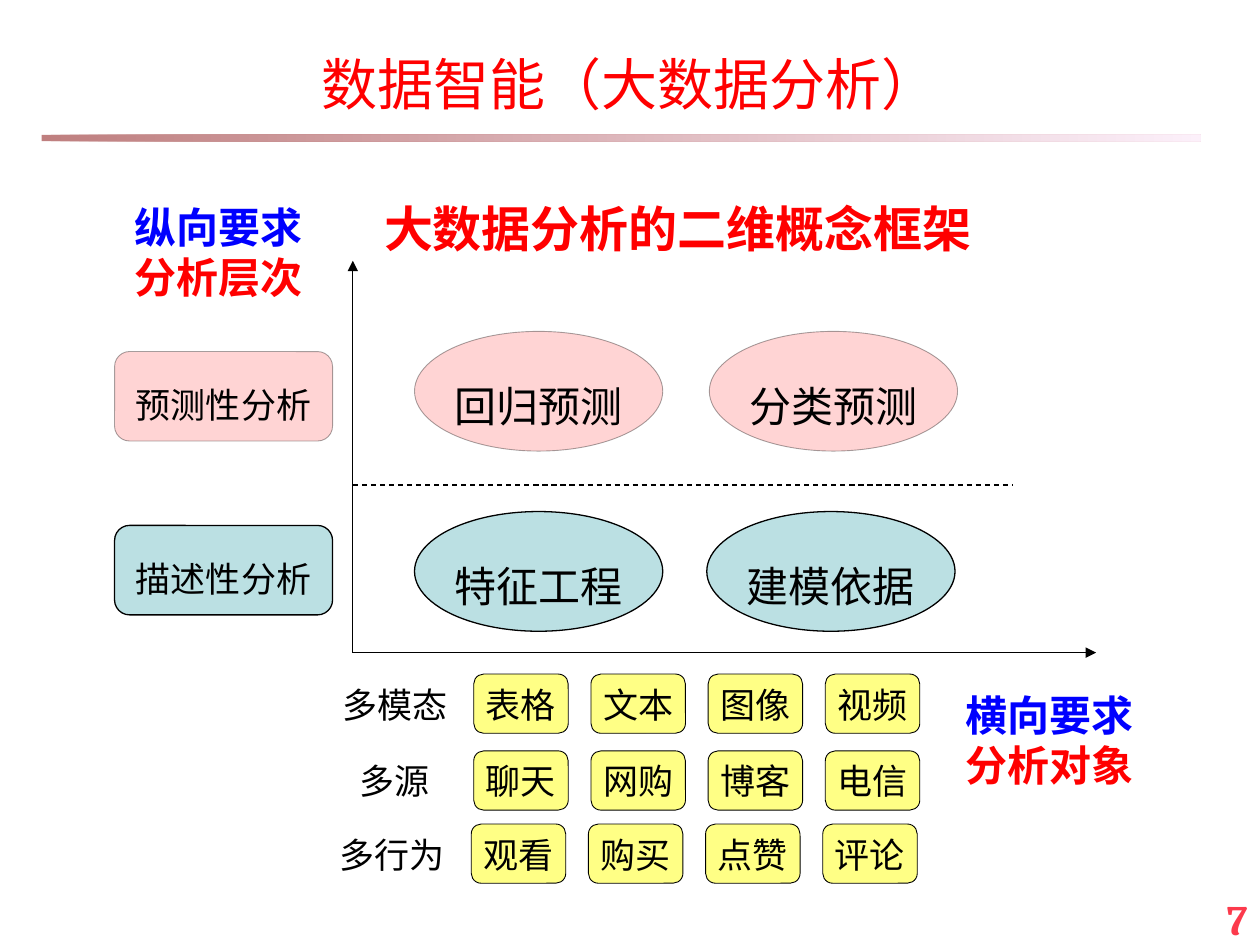
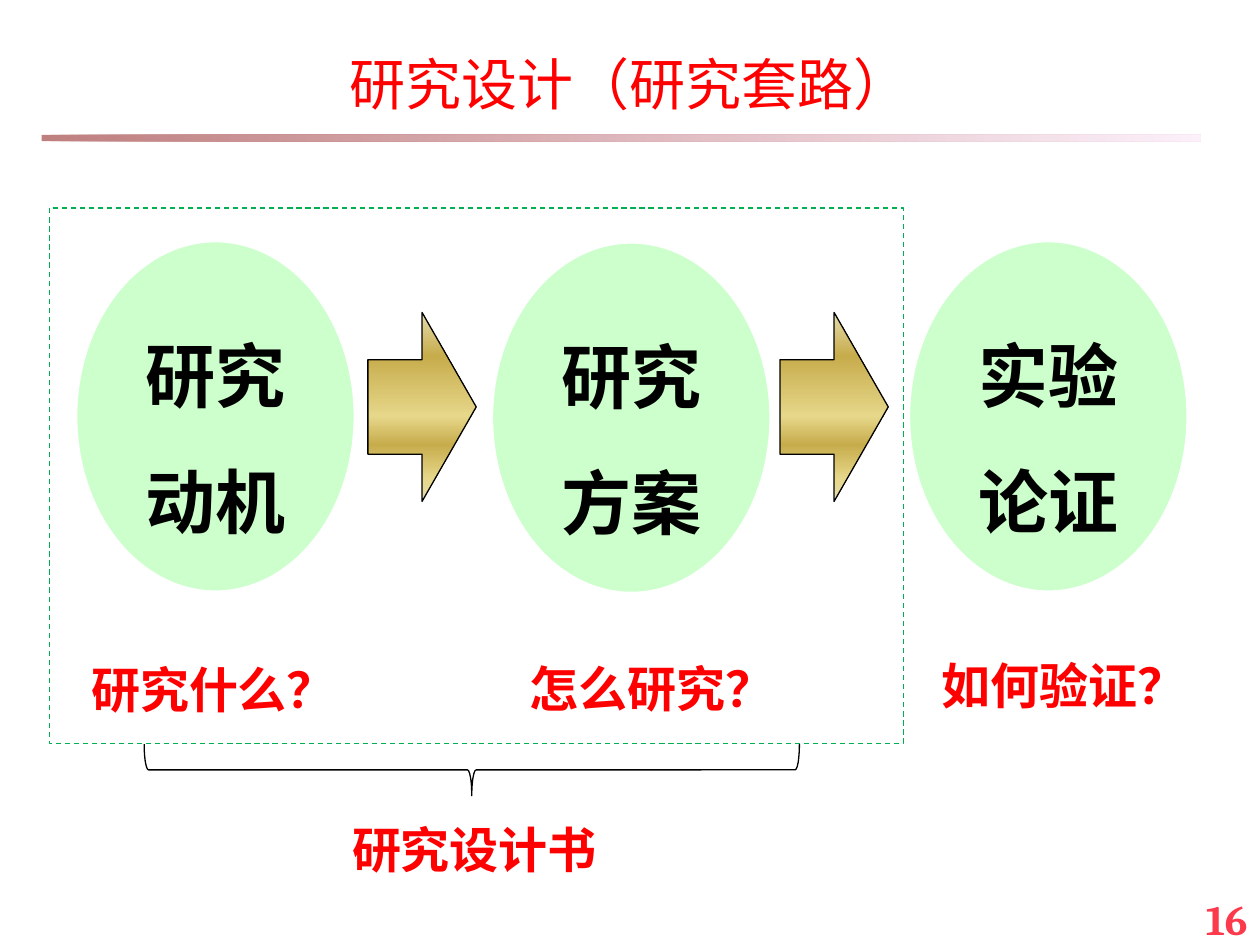
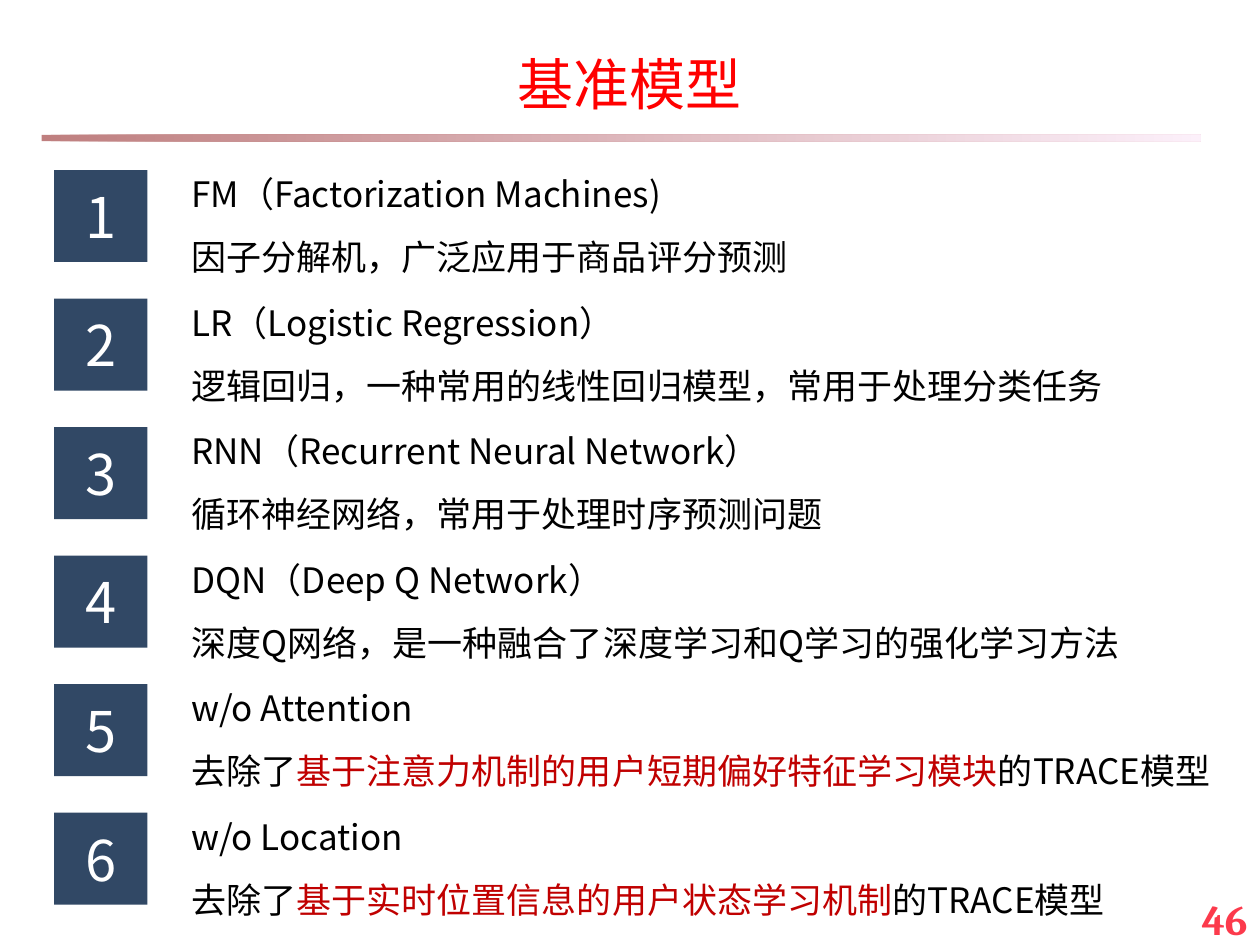
"""Build three slides on data intelligence, research design and baseline models."""
from dataclasses import dataclass, replace
from typing import NamedTuple, Optional, Sequence

from lxml import etree
from pptx import Presentation
from pptx.dml.color import RGBColor
from pptx.enum.dml import MSO_LINE
from pptx.enum.shapes import MSO_CONNECTOR, MSO_SHAPE
from pptx.enum.text import MSO_ANCHOR, PP_ALIGN
from pptx.oxml.ns import qn
from pptx.util import Inches, Pt

ROUNDED, OVAL, RECTANGLE = MSO_SHAPE.ROUNDED_RECTANGLE, MSO_SHAPE.OVAL, MSO_SHAPE.RECTANGLE
ARROW, BRACE = MSO_SHAPE.RIGHT_ARROW, MSO_SHAPE.LEFT_BRACE
STRAIGHT, DASH = MSO_CONNECTOR.STRAIGHT, MSO_LINE.DASH
LEFT, CENTER, RIGHT = PP_ALIGN.LEFT, PP_ALIGN.CENTER, PP_ALIGN.RIGHT
TOP, MIDDLE = MSO_ANCHOR.TOP, MSO_ANCHOR.MIDDLE
BLANK_LAYOUT = 6
CJK_FONT = "Noto Sans CJK SC"

COLORS = {
    "black": "000000", "white": "FFFFFF", "red": "FF0000", "blue": "0000FF",
    "teal": "BBE0E3", "yellow": "FFFF00", "mint": "CCFFCC", "green": "00B050",
    "navy": "314865", "dark red": "C00000", "page number": "FC3A4C",
    "maroon": "800000", "pale pink": "FAE2F6",
    "gold edge": "E6DCAC", "gold light": "E6D78A", "gold dark": "C7AC4C",
}


class Frame(NamedTuple):
    left: float
    top: float
    width: float
    height: float


class Span(NamedTuple):
    text: str
    color: str


class Stop(NamedTuple):
    position: int
    color: str
    alpha: int = 100


class Stage(NamedTuple):
    left: float
    top: float
    words: tuple[str, str]
    question: str
    question_left: float
    question_top: float


class Model(NamedTuple):
    name: str
    description: tuple[Span, ...]


@dataclass(frozen=True)
class Look:
    fill: Optional[str] = None
    fill_alpha: int = 100
    line: Optional[str] = None
    line_width: float = 0.75
    line_alpha: int = 100
    dashed: bool = False


@dataclass(frozen=True)
class TextStyle:
    size: int
    color: str = "black"
    bold: bool = False
    font: str = CJK_FONT
    align: PP_ALIGN = CENTER
    spacing: float = 1.0
    anchor: MSO_ANCHOR = TOP
    wrap: bool = False


TITLE = TextStyle(32, "red", spacing=1.5, wrap=True)
PAGE_NUMBER = TextStyle(24, "page number", True, "Cambria", RIGHT, wrap=True)
LABEL = TextStyle(20)
LEVEL = TextStyle(20, spacing=1.5)
METHOD = TextStyle(24, spacing=1.5)
AXIS_NAME = TextStyle(24, bold=True)
HEADING = TextStyle(28, "red", True, align=LEFT)
QUESTION = replace(HEADING, font="Arial")
STAGE_WORDS = TextStyle(40, bold=True, spacing=1.5, anchor=MIDDLE)
NUMBER = TextStyle(32, "white", anchor=MIDDLE, wrap=True)
MODEL_TEXT = TextStyle(20, align=LEFT, spacing=1.5, wrap=True)

PREDICTIVE = Look("red", 17, "black", 0.5, 34)
DESCRIPTIVE = Look("teal", line="black")
TILE = Look("yellow", 48, "black", 0.5)
PLAIN = Look("white")
OUTLINED = Look(line="black")
QUESTION_LOOK = Look(line="white")

BAND_STOPS = [Stop(0, "maroon", 50), Stop(100, "pale pink", 50)]
GOLD_STOPS = [
    Stop(0, "gold edge"), Stop(12, "gold light"), Stop(30, "gold dark"),
    Stop(45, "gold light"), Stop(77, "gold dark"), Stop(100, "gold edge"),
]


def rgb(name: str) -> RGBColor:
    """Return the named colour."""
    return RGBColor.from_string(COLORS[name])


def inches(frame: Frame) -> list[Inches]:
    """Convert a frame to lengths."""
    return [Inches(value) for value in frame]


def set_alpha(color_parent, percent: int) -> None:
    """Make the colour inside a fill element partly transparent."""
    if percent < 100:
        color = color_parent.find(qn("a:srgbClr"))
        etree.SubElement(color, qn("a:alpha"), val=str(percent * 1000))


def write_lines(shape, lines: Sequence[Sequence[Span]], style: TextStyle) -> None:
    """Write one paragraph per line and format its spans."""
    frame = shape.text_frame
    frame.word_wrap = style.wrap
    frame.vertical_anchor = style.anchor
    for index, spans in enumerate(lines):
        para = frame.add_paragraph() if index else frame.paragraphs[0]
        para.alignment = style.align
        para.line_spacing = style.spacing
        for span in spans:
            run = para.add_run()
            run.text = span.text
            run.font.size = Pt(style.size)
            run.font.bold = style.bold
            run.font.color.rgb = rgb(span.color)
            run.font.name = style.font
            latin = run.font._element.find(qn("a:latin"))
            latin.addnext(latin.makeelement(qn("a:ea"), {"typeface": CJK_FONT}))


def write(shape, style: TextStyle, *texts: str) -> None:
    """Write lines in the colour of their style."""
    write_lines(shape, [[Span(text, style.color)] for text in texts], style)


def add_text(page, frame: Frame, style: TextStyle, *texts: str):
    """Add a text box."""
    box = page.shapes.add_textbox(*inches(frame))
    write(box, style, *texts)
    return box


def add_figure(page, kind: MSO_SHAPE, frame: Frame, look: Look):
    """Add a preset shape with its fill and outline."""
    shape = page.shapes.add_shape(kind, *inches(frame))
    shape.shadow.inherit = False
    properties = shape.element.spPr
    if look.fill:
        shape.fill.solid()
        shape.fill.fore_color.rgb = rgb(look.fill)
        set_alpha(properties.find(qn("a:solidFill")), look.fill_alpha)
    else:
        shape.fill.background()
    if look.line:
        shape.line.color.rgb = rgb(look.line)
        shape.line.width = Pt(look.line_width)
        set_alpha(properties.find(qn("a:ln")).find(qn("a:solidFill")), look.line_alpha)
        if look.dashed:
            shape.line.dash_style = DASH
    else:
        shape.line.fill.background()
    return shape


def add_labelled(page, kind: MSO_SHAPE, frame: Frame, look: Look, style: TextStyle, *texts: str):
    """Add a preset shape holding text."""
    shape = add_figure(page, kind, frame, look)
    write(shape, style, *texts)
    return shape


def set_gradient(shape, stops: Sequence[Stop], angle: int) -> None:
    """Replace an empty fill by a linear gradient."""
    empty = shape.element.spPr.find(qn("a:noFill"))
    gradient = empty.makeelement(qn("a:gradFill"), {"rotWithShape": "1"})
    stop_list = etree.SubElement(gradient, qn("a:gsLst"))
    for stop in stops:
        item = etree.SubElement(stop_list, qn("a:gs"), pos=str(stop.position * 1000))
        etree.SubElement(item, qn("a:srgbClr"), val=COLORS[stop.color])
        set_alpha(item, stop.alpha)
    etree.SubElement(gradient, qn("a:lin"), ang=str(angle * 60000), scaled="0")
    empty.getparent().replace(empty, gradient)


def add_line(page, start: tuple[float, float], end: tuple[float, float], dashed: bool = False) -> None:
    """Add a dashed line or an axis with an arrowhead."""
    line = page.shapes.add_connector(STRAIGHT, *[Inches(value) for value in start + end])
    line.line.color.rgb = rgb("black")
    line.line.width = Pt(0.75)
    properties = line.element.spPr
    if dashed:
        line.line.dash_style = DASH
    else:
        etree.SubElement(properties.find(qn("a:ln")), qn("a:tailEnd"), type="triangle")
    etree.SubElement(properties, qn("a:effectLst"))


def add_page(deck, title: str, number: int):
    """Add a page with its band, number and title."""
    page = deck.slides.add_slide(deck.slide_layouts[BLANK_LAYOUT])
    band = add_figure(page, RECTANGLE, Frame(0.33, 1.07, 9.2, 0.05), Look())
    set_gradient(band, BAND_STOPS, 0)
    add_text(page, Frame(7.67, 7.04, 2.33, 0.44), PAGE_NUMBER, str(number))
    add_text(page, Frame(0, 0.08, 10, 1.02), TITLE, title)
    return page


def build_framework(deck) -> None:
    """Draw the two-dimensional framework of big data analysis."""
    page = add_page(deck, "数据智能（大数据分析）", 7)
    origin = (2.8, 5.18)
    add_line(page, origin, (8.7, 5.18))
    add_line(page, origin, (2.8, 2.07))

    levels = [
        ("预测性分析", 2.79, PREDICTIVE, 2.63, [("回归预测", 3.29), ("分类预测", 5.63)]),
        ("描述性分析", 4.17, DESCRIPTIVE, 4.06, [("特征工程", 3.29), ("建模依据", 5.61)]),
    ]
    for level, level_top, look, method_top, methods in levels:
        add_labelled(page, ROUNDED, Frame(0.91, level_top, 1.73, 0.71), look, LEVEL, level)
        for method, left in methods:
            add_labelled(page, OVAL, Frame(left, method_top, 1.97, 0.95), look, METHOD, method)

    object_rows = [
        ("多模态", 2.68, 5.35, ["表格", "文本", "图像", "视频"]),
        ("多源", 2.68, 5.96, ["聊天", "网购", "博客", "电信"]),
        ("多行为", 2.66, 6.54, ["观看", "购买", "点赞", "评论"]),
    ]
    for label, left, top, objects in object_rows:
        add_labelled(page, ROUNDED, Frame(left, top, 0.91, 0.47), PLAIN, LABEL, label)
        for column, name in enumerate(objects):
            tile = Frame(left + 1.08 + 0.93 * column, top, 0.75, 0.47)
            add_labelled(page, ROUNDED, tile, TILE, LABEL, name)

    axis_names = [
        (Frame(0.94, 1.5, 1.59, 0.95), "纵向要求", "分析层次"),
        (Frame(7.6, 5.4, 1.46, 0.47), "横向要求", "分析对象"),
    ]
    for frame, demand, meaning in axis_names:
        shape = add_figure(page, ROUNDED, frame, PLAIN)
        write_lines(shape, [[Span(demand, "blue")], [Span(meaning, "red")]], AXIS_NAME)
    add_line(page, (2.8, 3.85), (8.04, 3.85), dashed=True)
    add_text(page, Frame(2.95, 1.53, 4.94, 0.57), HEADING, "大数据分析的二维概念框架")


def build_research_design(deck) -> None:
    """Draw the three research stages and the design document."""
    page = add_page(deck, "研究设计（研究套路）", 16)
    stages = [
        Stage(0.6, 1.91, ("研究", "动机"), "研究什么？", 0.58, 5.14),
        Stage(3.9, 1.92, ("研究", "方案"), "怎么研究？", 4.06, 5.13),
        Stage(7.21, 1.91, ("实验", "论证"), "如何验证？", 7.33, 5.11),
    ]
    for stage in stages:
        oval = add_labelled(
            page, OVAL, Frame(stage.left, stage.top, 2.22, 2.79),
            Look("mint", line="white", line_width=2), STAGE_WORDS, *stage.words)
        oval.text_frame.margin_top = oval.text_frame.margin_bottom = Inches(0)
        question = Frame(stage.question_left, stage.question_top, 2.2, 0.94)
        add_labelled(page, ROUNDED, question, QUESTION_LOOK, QUESTION, stage.question)
    for left in (2.92, 6.19):
        arrow = add_figure(page, ARROW, Frame(left, 2.48, 0.86, 1.5), OUTLINED)
        set_gradient(arrow, GOLD_STOPS, 270)
    add_figure(page, RECTANGLE, Frame(0.39, 1.65, 6.78, 4.25), Look(line="green", dashed=True))
    brace = add_figure(page, BRACE, Frame(3.54, 3.51, 0.41, 5.2), OUTLINED)
    brace.rotation = 270
    add_labelled(page, ROUNDED, Frame(2.65, 6.41, 2.2, 0.94), QUESTION_LOOK, HEADING, "研究设计书")


def plain(text: str) -> tuple[Span, ...]:
    """Return a description in one colour."""
    return (Span(text, "black"),)


def without(module: str) -> tuple[Span, ...]:
    """Return a description of the model lacking one module."""
    return Span("去除了", "black"), Span(module, "dark red"), Span("的TRACE模型", "black")


def build_baselines(deck) -> None:
    """List the numbered baseline models."""
    page = add_page(deck, "基准模型", 46)
    models = [
        Model("FM（Factorization Machines)", plain("因子分解机，广泛应用于商品评分预测")),
        Model("LR（Logistic Regression）",
              plain("逻辑回归，一种常用的线性回归模型，常用于处理分类任务")),
        Model("RNN（Recurrent Neural Network）", plain("循环神经网络，常用于处理时序预测问题")),
        Model("DQN（Deep Q Network）",
              plain("深度Q网络，是一种融合了深度学习和Q学习的强化学习方法")),
        Model("w/o Attention", without("基于注意力机制的用户短期偏好特征学习模块")),
        Model("w/o Location", without("基于实时位置信息的用户状态学习机制")),
    ]
    for index, model in enumerate(models):
        top = 1.35 + 1.02 * index
        add_labelled(page, RECTANGLE, Frame(0.43, top, 0.74, 0.73), Look("navy"), NUMBER, str(index + 1))
        box = page.shapes.add_textbox(*inches(Frame(1.42, top - 0.03, 8.48, 0.94)))
        write_lines(box, [plain(model.name), model.description], MODEL_TEXT)
        box.text_frame.paragraphs[0].line_spacing = 1.0


def main() -> None:
    """Build and save the deck."""
    deck = Presentation()
    deck.slide_width, deck.slide_height = Inches(10), Inches(7.5)
    build_framework(deck)
    build_research_design(deck)
    build_baselines(deck)
    deck.save("out.pptx")


if __name__ == "__main__":
    main()
